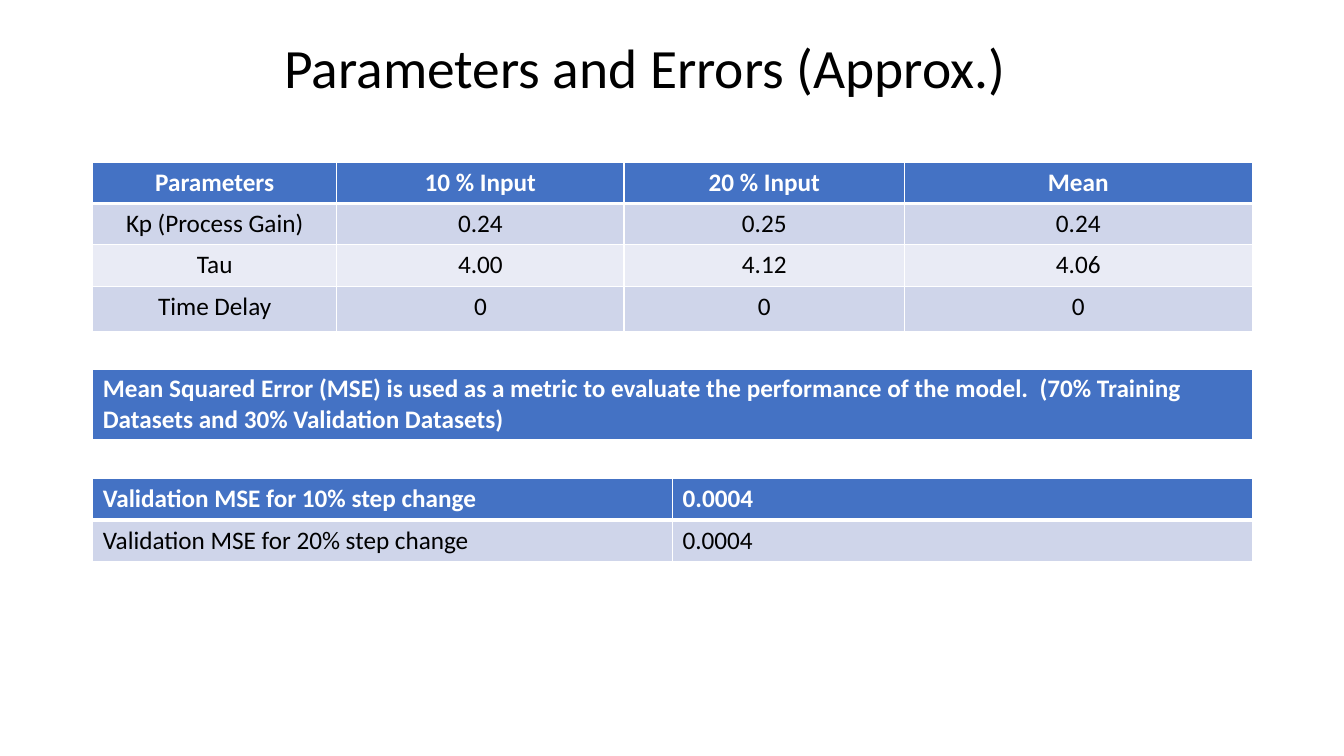
from lxml import etree
from pptx import Presentation
from pptx import util as u
from pptx.dml.color import RGBColor
from pptx.enum import text
from pptx.oxml.ns import qn

BLACK = RGBColor(0x00, 0x00, 0x00)
WHITE = RGBColor(0xFF, 0xFF, 0xFF)
HEADER_BLUE = RGBColor(0x44, 0x72, 0xC4)
BANDS = (RGBColor(0xCF, 0xD5, 0xEA), RGBColor(0xE9, 0xEB, 0xF5))

LEFT, WIDTH, ROW = 92, 1150, 41


def px(length):
    """Convert px, at 100 to the inch, into EMU."""
    return u.Emu(length * 9144)


class SlideBuilder:
    font = "Calibri"
    body_size = 18
    title_size = 39.6

    def __init__(self, deck):
        self.slide = deck.slides.add_slide(deck.slide_layouts[5])

    def style(self, paragraph, size, color, bold, align):
        paragraph.alignment = align
        font = paragraph.font
        font.name, font.size, font.bold = self.font, u.Pt(size), bold
        font.color.rgb = color

    def title(self, wording, left, top, width, height):
        title = self.slide.shapes.title
        title.left, title.top = px(left), px(top)
        title.width, title.height = px(width), px(height)
        frame = title.text_frame
        frame.text = wording
        frame.word_wrap = True
        frame.auto_size = text.MSO_AUTO_SIZE.NONE
        frame.vertical_anchor = text.MSO_ANCHOR.MIDDLE
        heading = frame.paragraphs[0]
        heading.line_spacing = 0.9
        self.style(heading, self.title_size, BLACK, False, text.PP_ALIGN.LEFT)

    def borders(self, cell, top, bottom):
        """Draw white cell borders; the sides are 1 pt, top and bottom as given."""
        properties = cell._tc.get_or_add_tcPr()
        sides = (("lnL", 1), ("lnR", 1), ("lnT", top), ("lnB", bottom))
        for place, (side, points) in enumerate(sides):
            line = etree.Element(qn(f"a:{side}"), w=str(u.Pt(points)))
            fill = etree.SubElement(line, qn("a:solidFill"))
            etree.SubElement(fill, qn("a:srgbClr"), val=str(WHITE))
            properties.insert(place, line)

    def table(self, rows, top, columns, heights, align=text.PP_ALIGN.LEFT):
        """Add a table with a blue header row and banded body rows."""
        frame = self.slide.shapes.add_table(
            len(rows), len(columns), px(LEFT), px(top), px(WIDTH), px(sum(heights)))
        table = frame.table
        for column, width in zip(table.columns, columns):
            column.width = px(width)
        for r, (values, height) in enumerate(zip(rows, heights)):
            table.rows[r].height = px(height)
            header = r == 0
            for c, value in enumerate(values):
                cell = table.cell(r, c)
                cell.text = value
                cell.fill.solid()
                cell.fill.fore_color.rgb = HEADER_BLUE if header else BANDS[(r - 1) % 2]
                self.borders(cell, top=3 if r == 1 else 1, bottom=3 if header else 1)
                self.style(cell.text_frame.paragraphs[0], self.body_size,
                           WHITE if header else BLACK, header, align)


def main():
    deck = Presentation()
    deck.slide_width, deck.slide_height = px(1333), px(750)
    page = SlideBuilder(deck)

    page.title("Parameters and Errors (Approx.)", 272, 33, 758, 74)

    parameters = [
        ("Parameters", "10 % Input", "20 % Input", "Mean"),
        ("Kp (Process Gain)", "0.24", "0.25", "0.24"),
        ("Tau", "4.00", "4.12", "4.06"),
        ("Time Delay", "0", "0", "0"),
    ]
    page.table(parameters, 161, (242, 285, 278, 345), (ROW, ROW, ROW, 45),
               text.PP_ALIGN.CENTER)

    metric = ("Mean Squared Error (MSE) is used as a metric to evaluate the performance "
              "of the model.  (70% Training Datasets and 30% Validation Datasets)")
    page.table([(metric,)], 366, (WIDTH,), (70,))

    validation = [(f"Validation MSE for {step}% step change", "0.0004") for step in (10, 20)]
    page.table(validation, 475, (WIDTH // 2,) * 2, (ROW, ROW))

    deck.save("out.pptx")


if __name__ == "__main__":
    main()
